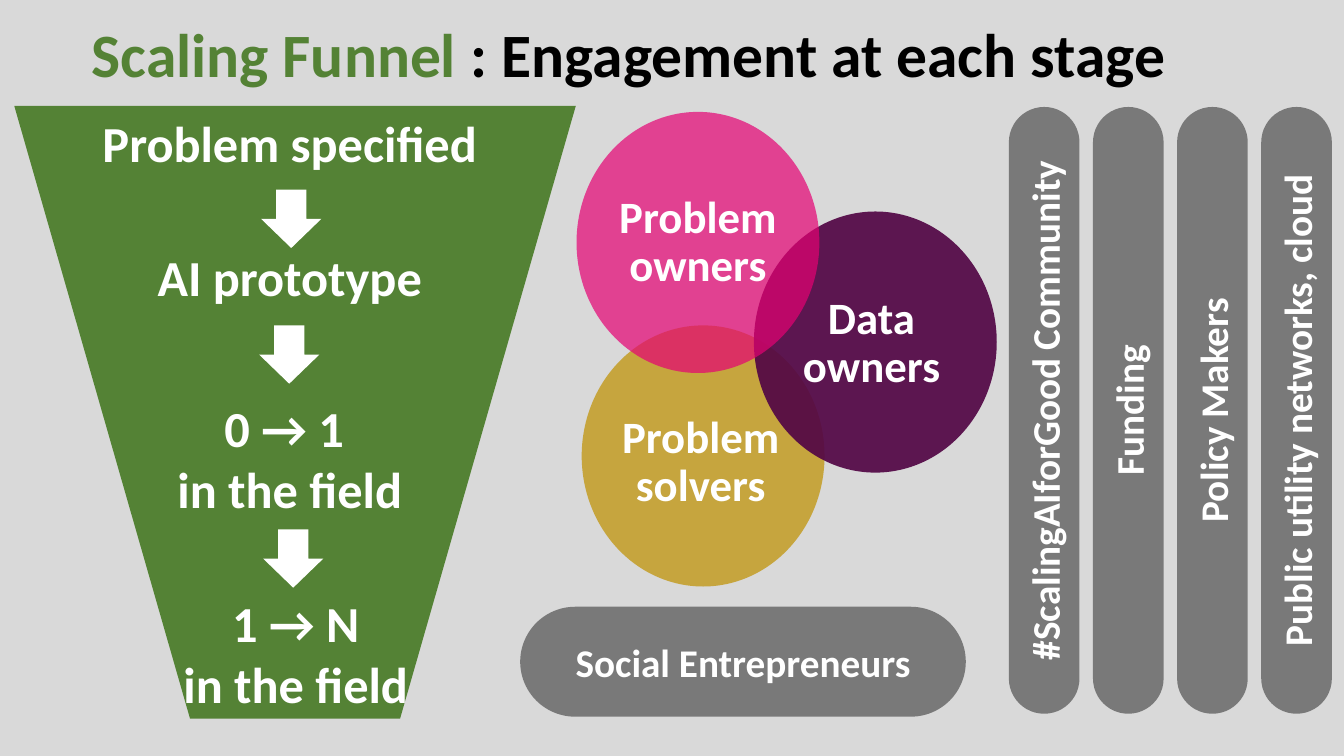
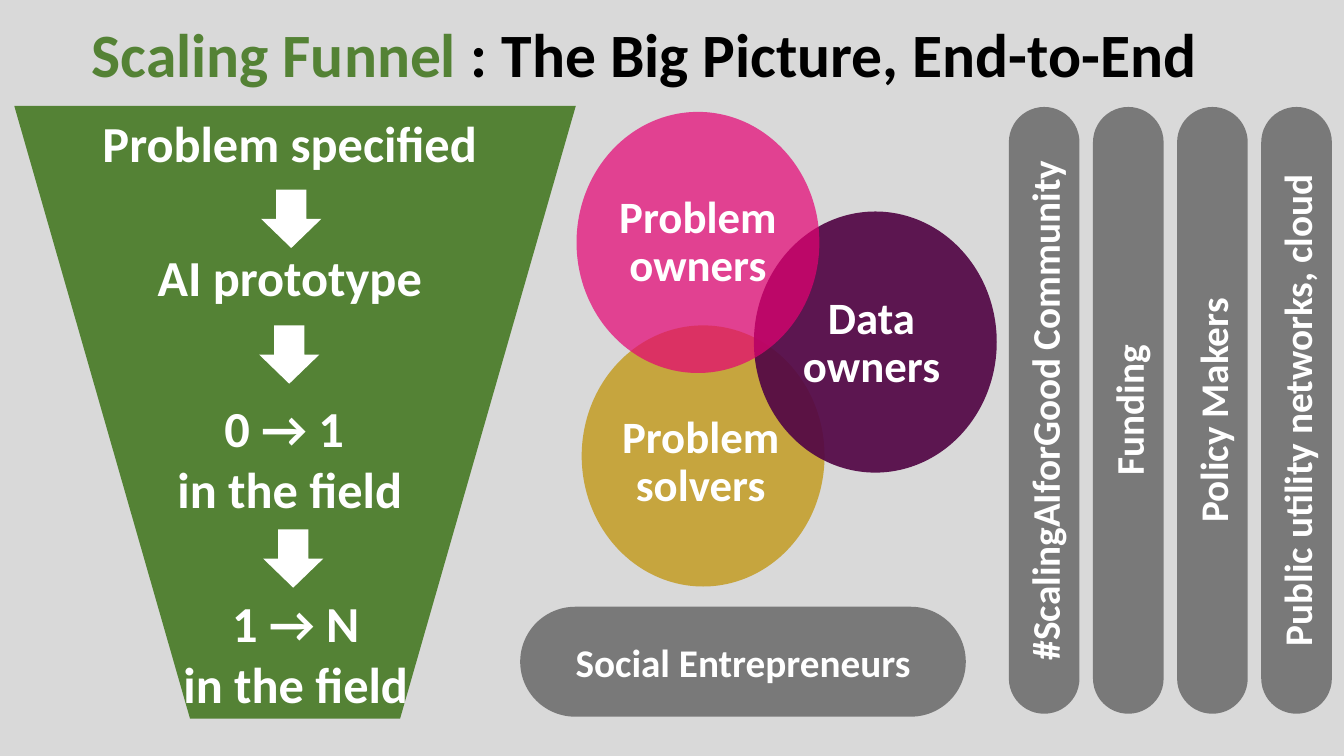
from lxml import etree
from pptx import Presentation
from pptx import util as u
from pptx.dml import color as dml
from pptx.enum import shapes, text
from pptx.oxml import ns

FONT = "Calibri"
WHITE, BLACK, PAPER = "FFFFFF", "000000", "D9D9D9"
GREEN, GREY = "548235", "525252"
GOLD, PURPLE, PINK = "BF9000", "520645", "E50173"
SHAPE = shapes.MSO_SHAPE

TITLES = [": Engagement at each stage", ": The Big Picture, End-to-End"]
CIRCLE_SIZE = (6.12, 6.58)
CIRCLES = [
    ("Problem solvers", GOLD, 71, (14.66, 8.2), (14.6, 10.31, 6.12)),
    ("Data owners", PURPLE, 92, (19, 5.33), (19.63, 7.32, 4.67)),
    ("Problem owners", PINK, 70, (14.53, 2.82), (14.53, 4.78, 6.12)),
]
STAGES = [
    (["Problem specified"], 0.23, 2.67),
    (["AI prototype"], 0.23, 6.05),
    (["0 → 1 ", "in the field"], 0.23, 9.86),
    (["1 → N", "in the field"], 0.38, 14.78),
]
ARROWS = [(6.58, 4.78), (6.53, 8.2), (6.63, 13.34)]
PILLARS = ["#ScalingAIforGood Community", "Funding", "Policy Makers",
           "Public utility networks, cloud"]
PILLAR_LEFT, PILLAR_PITCH = 18.67, 2.12


def rgb(value):
    return dml.RGBColor.from_string(value)


def write(sp, paragraphs, size=28, color=WHITE, align=text.PP_ALIGN.CENTER,
          anchor=text.MSO_ANCHOR.TOP, spacing=1.0, insets=(0.25, 0.13)):
    tf = sp.text_frame
    tf.word_wrap = True
    tf.vertical_anchor = anchor
    tf.margin_left = tf.margin_right = u.Cm(insets[0])
    tf.margin_top = tf.margin_bottom = u.Cm(insets[1])
    for i, runs in enumerate(paragraphs):
        p = tf.add_paragraph() if i else tf.paragraphs[0]
        p.alignment = align
        p.line_spacing = spacing
        for words, tint in [(runs, color)] if isinstance(runs, str) else runs:
            r = p.add_run()
            r.text = words
            r.font.name = FONT
            r.font.size = u.Pt(size)
            r.font.bold = True
            r.font.color.rgb = rgb(tint)


def add_text(parent, box, paragraphs, **fmt):
    write(parent.shapes.add_textbox(*map(u.Cm, box)), paragraphs, **fmt)


def add_shape(parent, kind, box, fill, opacity=100, adjust=None, rotation=0):
    sp = parent.shapes.add_shape(kind, *map(u.Cm, box))
    sp.shadow.inherit = False
    sp.line.fill.background()
    sp.fill.solid()
    sp.fill.fore_color.rgb = rgb(fill)
    sp.rotation = rotation
    if adjust is not None:
        sp.adjustments[0] = adjust
    if opacity < 100:
        clr = sp.element.spPr.find(".//" + ns.qn("a:srgbClr"))
        etree.SubElement(clr, ns.qn("a:alpha"), val=str(opacity * 1000))
    return sp


def add_pill(s, box, label, rotation=0):
    sp = add_shape(s, SHAPE.ROUNDED_RECTANGLE, box, GREY, 71, 0.5, rotation)
    write(sp, [label], anchor=text.MSO_ANCHOR.MIDDLE)


def add_title(s, topic):
    add_text(s, (2.06, 0.2, 29.21, 2.49),
             [[("Scaling Funnel ", GREEN), (topic, BLACK)]], size=44,
             align=text.PP_ALIGN.LEFT, anchor=text.MSO_ANCHOR.MIDDLE, spacing=0.9)


def add_circles(s):
    for label, color, opacity, corner, (left, top, width) in CIRCLES:
        add_shape(s, SHAPE.OVAL, corner + CIRCLE_SIZE, color, opacity)
        add_text(s, (left, top, width, 2.11), [label], size=32, spacing=0.9)


def add_funnel(s):
    group = s.shapes.add_group_shape()
    add_shape(group, SHAPE.TRAPEZOID, (0.36, 2.67, 14.15, 15.44), GREEN,
              adjust=0.313, rotation=180)
    for left, top in ARROWS:
        add_shape(group, SHAPE.DOWN_ARROW, (left, top, 1.52, 1.47), WHITE)
    for lines, left, top in STAGES:
        add_text(group, (left, top, 14.15, 2.01), lines, size=36,
                 insets=(0.33, 0.15))


def add_support(s):
    add_pill(s, (13.11, 15.29, 11.23, 2.77), "Social Entrepreneurs")
    for i, label in enumerate(PILLARS):
        add_pill(s, (PILLAR_LEFT + i * PILLAR_PITCH, 9.45, 15.29, 1.78), label, 270)


def main():
    prs = Presentation()
    prs.slide_width, prs.slide_height = u.Cm(33.87), u.Cm(19.05)
    background = prs.slide_master.background.fill
    background.solid()
    background.fore_color.rgb = rgb(PAPER)
    for topic in TITLES:
        s = prs.slides.add_slide(prs.slide_layouts[6])
        add_circles(s)
        add_funnel(s)
        add_title(s, topic)
        add_support(s)
    prs.save("out.pptx")


if __name__ == "__main__":
    main()
